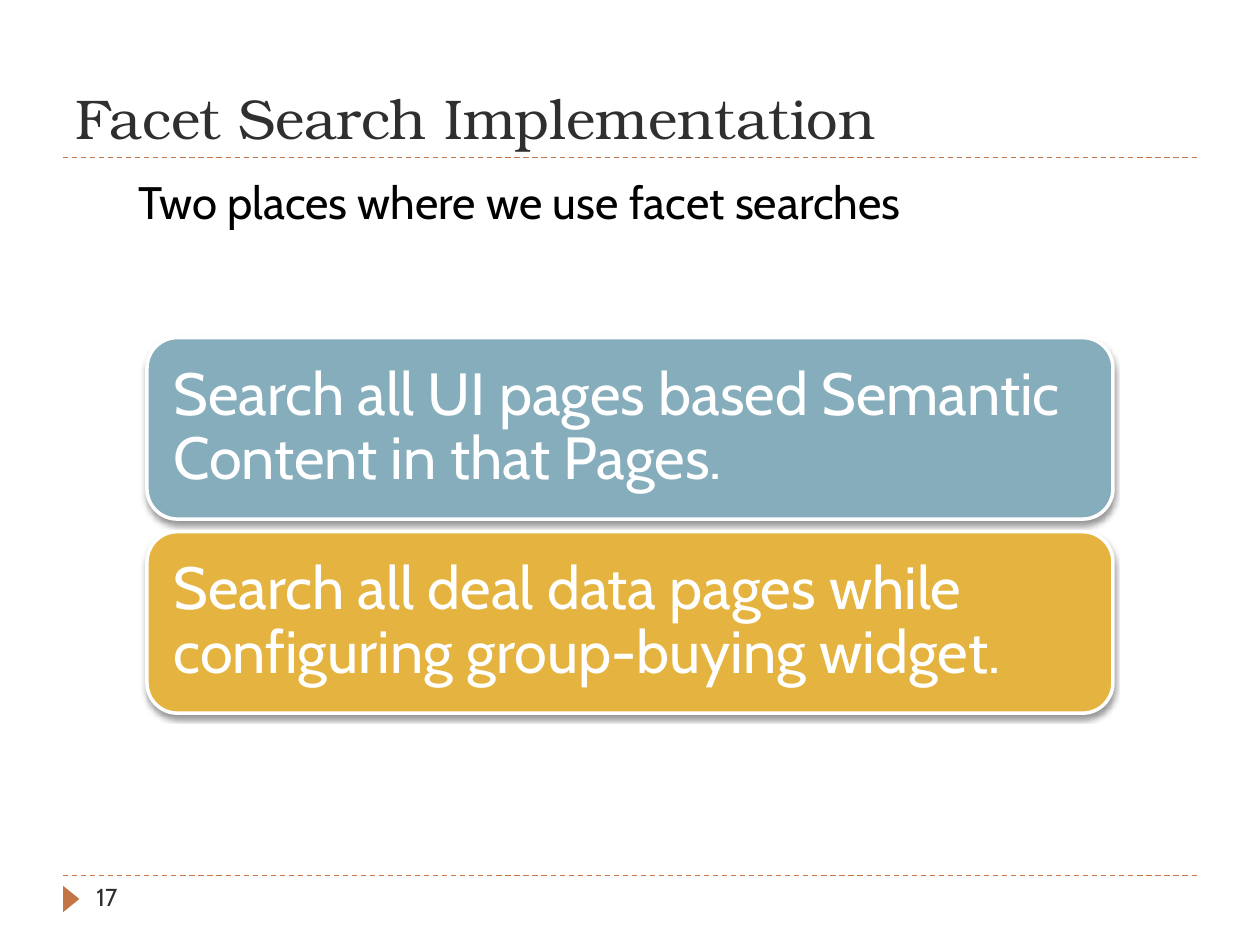
from lxml.etree import SubElement
from pptx import Presentation
from pptx.dml.color import RGBColor
from pptx.enum.dml import MSO_LINE_DASH_STYLE as Dash
from pptx.enum.shapes import MSO_CONNECTOR_TYPE as Connector, MSO_SHAPE as Shape
from pptx.enum.text import MSO_ANCHOR as Anchor, MSO_AUTO_SIZE as AutoSize, PP_ALIGN as Align
from pptx.oxml.ns import qn
from pptx.util import Inches, Pt

COLORS = {
    "accent": "C47546",
    "heading": "2F2F2F",
    "body": "000000",
    "white": "FFFFFF",
    "blue": "85ADBC",
    "yellow": "E5B440",
}
HEADING_FONT, BODY_FONT = "TeX Gyre Bonum", "Cabin"
CELL = 1 / 6  # inches: the slide is 60 columns by 45 rows


def grid(*cells):
    return [Inches(cell * CELL) for cell in cells]


def color(name):
    return RGBColor.from_string(COLORS[name])


class SlideBuilder:
    """Holds the style and the current slide."""

    def __init__(self, presentation):
        self.slide = presentation.slides.add_slide(presentation.slide_layouts[5])
        self.shapes = self.slide.shapes

    def fill_text(self, shape, text, size, ink, font=BODY_FONT, anchor=Anchor.TOP):
        frame = shape.text_frame
        frame.word_wrap = True
        frame.auto_size = AutoSize.NONE
        frame.vertical_anchor = anchor
        paragraph = frame.paragraphs[0]
        paragraph.alignment = Align.LEFT
        run = paragraph.add_run()
        run.text = text
        run.font.size = Pt(size)
        run.font.name = font
        run.font.color.rgb = color(ink)
        return paragraph

    def title(self, text, *box):
        title = self.shapes.title
        title.left, title.top, title.width, title.height = grid(*box)
        self.fill_text(title, text, 32, "heading", HEADING_FONT, Anchor.BOTTOM)

    def text(self, text, size, ink, *box):
        return self.fill_text(self.shapes.add_textbox(*grid(*box)), text, size, ink)

    def rule(self, left, right, row):
        line = self.shapes.add_connector(Connector.STRAIGHT, *grid(left, row, right, row))
        line.line.color.rgb = color("accent")
        line.line.width = Pt(0.75)
        line.line.dash_style = Dash.DASH
        SubElement(line._element.spPr, qn("a:effectLst"))

    def marker(self, *box):
        marker = self.shapes.add_shape(Shape.ISOSCELES_TRIANGLE, *grid(*box))
        marker.rotation = 90
        marker.shadow.inherit = False
        marker.fill.solid()
        marker.fill.fore_color.rgb = color("accent")
        marker.line.fill.background()

    def card(self, text, fill, *box):
        card = self.shapes.add_shape(Shape.ROUNDED_RECTANGLE, *grid(*box))
        card.fill.solid()
        card.fill.fore_color.rgb = color(fill)
        card.line.color.rgb = color("white")
        card.line.width = Pt(2)
        self.drop_shadow(card)
        frame = card.text_frame
        frame.margin_left = frame.margin_right = Inches(0.14)
        frame.margin_top = frame.margin_bottom = Inches(0.14)
        paragraph = self.fill_text(card, text, 34, "white", anchor=Anchor.MIDDLE)
        paragraph.line_spacing = 0.9
        paragraph.space_after = Pt(12)

    def drop_shadow(self, shape):
        shape.shadow.inherit = False
        effects = shape._element.spPr.find(qn("a:effectLst"))
        shadow = SubElement(effects, qn("a:outerShdw"), blurRad=str(Pt(3)),
                            dist=str(Pt(2)), dir="5400000", rotWithShape="0")
        shade = SubElement(shadow, qn("a:srgbClr"), val=COLORS["body"])
        SubElement(shade, qn("a:alpha"), val="40000")


def main():
    presentation = Presentation()
    presentation.slide_width, presentation.slide_height = grid(60, 45)
    builder = SlideBuilder(presentation)

    # Frame: dashed rules and page marker
    for row in (41.7, 7.5):
        builder.rule(3, 57, row)
    builder.marker(2.76, 42.42, 1.26, 0.78)

    # Heading, lead-in and page number
    builder.title("Facet Search Implementation", 3, 1, 54, 6.5)
    lead = builder.text("Two places where we use facet searches", 26, "body", 6, 8, 44.5, 4.5)
    lead.space_before = Pt(6)
    builder.text("17", 14, "heading", 4, 41.7, 13, 2.4)

    # Stacked cards
    cards = [
        ("Search all UI pages based Semantic Content in that Pages.", "blue"),
        ("Search all deal data pages while configuring group-buying widget.", "yellow"),
    ]
    top, height, gap = 16.08, 8.64, 0.6
    for index, (text, fill) in enumerate(cards):
        builder.card(text, fill, 7, top + index * (height + gap), 46, height)

    presentation.save("out.pptx")


if __name__ == "__main__":
    main()
